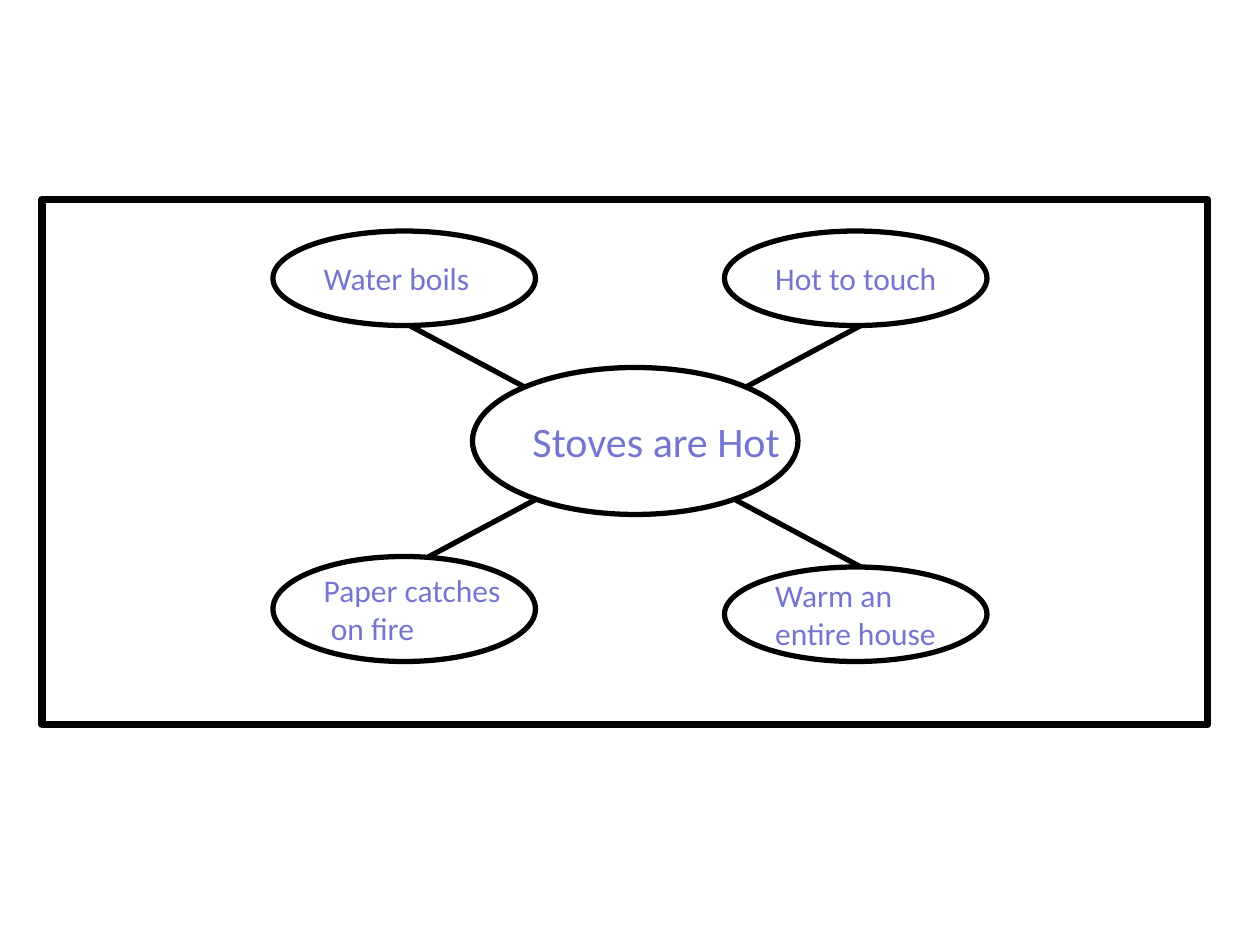
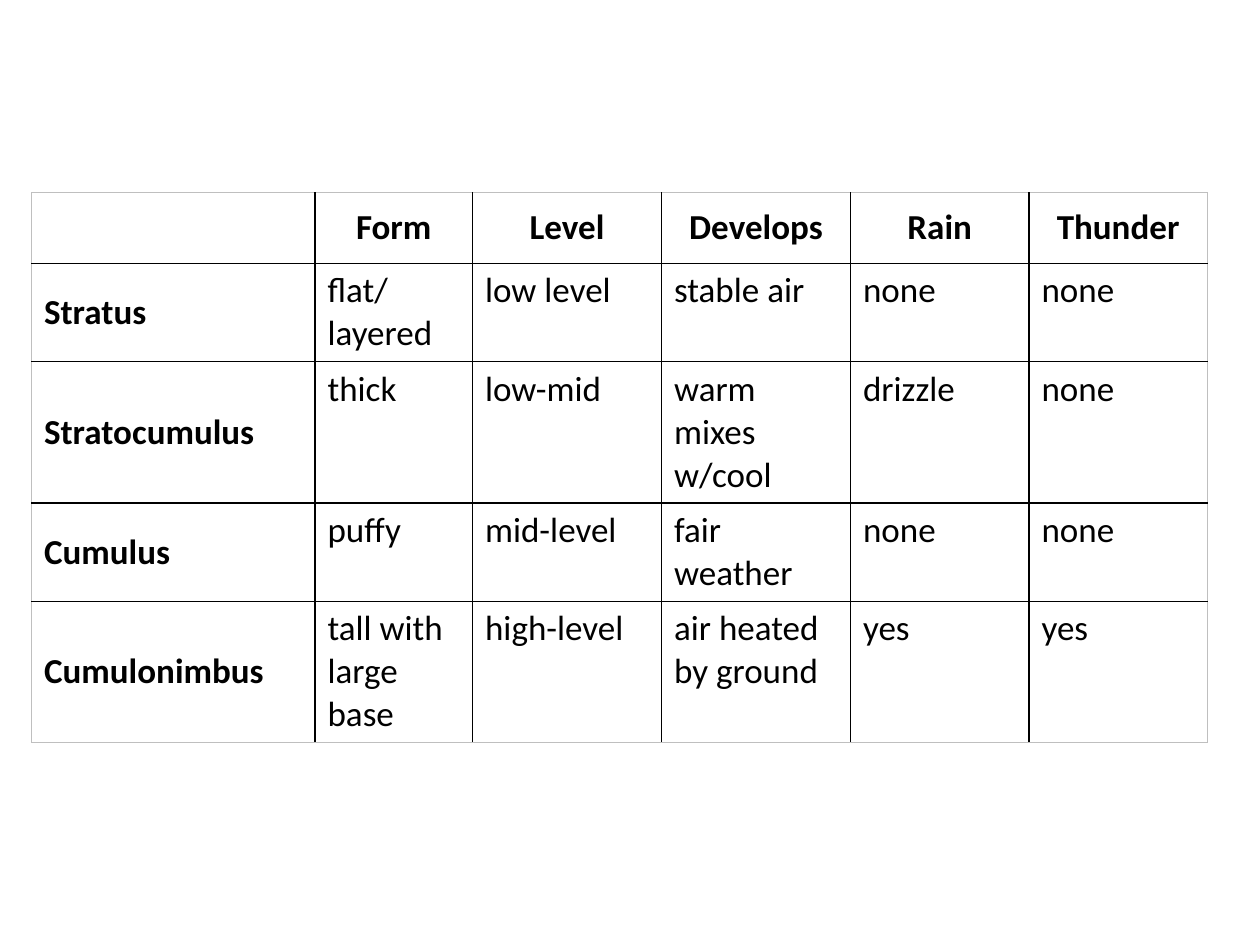
from lxml.etree import SubElement as Sub
from pptx import Presentation
from pptx.dml.color import RGBColor
from pptx.enum.shapes import MSO_CONNECTOR as Line, MSO_SHAPE as Shape
from pptx.enum.text import MSO_ANCHOR as Anchor, PP_ALIGN as Align
from pptx.oxml.ns import qn
from pptx.util import Inches, Pt

BLACK = RGBColor(0, 0, 0)
WHITE = RGBColor(255, 255, 255)
VIOLET = RGBColor(0x75, 0x75, 0xD1)
GREY = RGBColor(0xBF, 0xBF, 0xBF)
FONT = "Calibri"

# Places are counted in units of a twelfth of an inch.
FRAME = (4, 19, 111, 50)
LEFT, RIGHT, TOP, LOW = 39, 82, 31, 54
LINKS = [(LEFT, TOP, RIGHT, LOW), (LEFT, LOW, RIGHT, TOP)]
IDEAS = [  # text, size, place
    ("Stoves are Hot", 24, (45, 35, 31, 14)),
    ("Hot to touch", 18, (69, 22, 25, 9)),
    ("Paper catches\n on fire", 18, (26, 53, 25, 10)),
    ("Water boils", 18, (26, 22, 25, 9)),
    ("Warm an\nentire house", 18, (69, 54, 25, 9)),
]

CLOUDS = [
    ("", "Form", "Level", "Develops", "Rain", "Thunder"),
    ("Stratus", "flat/\nlayered", "low level", "stable air", "none", "none"),
    ("Stratocumulus", "thick", "low-mid", "warm mixes w/cool", "drizzle",
     "none"),
    ("Cumulus", "puffy", "mid-level", "fair weather", "none", "none"),
    ("Cumulonimbus", "tall with large base", "high-level",
     "air heated by ground", "yes", "yes"),
]
COLS = (27, 15, 18, 18, 17, 17)
HEAD, ROW = 0.56, 0.72  # row heights in inches
GRID_X, GRID_Y = 3, 1.53


def unit(n):
    return Inches(n / 12)


def units(place):
    return [unit(n) for n in place]


def write(frame, text, size, color=BLACK, bold=False, align=Align.LEFT):
    frame.text = text
    for para in frame.paragraphs:
        para.alignment = align
        font = para.font
        font.name, font.size, font.bold = FONT, Pt(size), bold
        font.color.rgb = color


def outline(line, width):
    line.color.rgb = BLACK
    line.width = Pt(width)


def draw(slide, kind, place, width):
    shape = slide.shapes.add_shape(kind, *units(place))
    shape.shadow.inherit = False
    shape.fill.solid()
    shape.fill.fore_color.rgb = WHITE
    outline(shape.line, width)
    return shape


def link(slide, ends):
    line = slide.shapes.add_connector(Line.STRAIGHT, *units(ends))
    outline(line.line, 3)
    Sub(line._element.spPr, qn("a:effectLst"))


def edge(cell, side, outer):
    """Rule one side of a cell: grey hairline outside, black inside."""
    width, color = (Pt(0.5), GREY) if outer else (Pt(1), BLACK)
    rule = Sub(cell._tc.get_or_add_tcPr(), qn("a:ln" + side), w=str(width))
    Sub(Sub(rule, qn("a:solidFill")), qn("a:srgbClr"), val=str(color))


def web(slide):
    draw(slide, Shape.RECTANGLE, FRAME, 4.5)
    for ends in LINKS:
        link(slide, ends)
    for text, size, place in IDEAS:
        frame = draw(slide, Shape.OVAL, place, 3).text_frame
        frame.word_wrap = False
        frame.vertical_anchor = Anchor.MIDDLE
        write(frame, text, size, color=VIOLET)


def chart(slide):
    rows, cols = len(CLOUDS), len(COLS)
    high = HEAD + ROW * (rows - 1)
    grid = slide.shapes.add_table(rows, cols, unit(GRID_X), Inches(GRID_Y),
                                  unit(sum(COLS)), Inches(high)).table
    grid.first_row = grid.horz_banding = False
    for col, wide in zip(grid.columns, COLS):
        col.width = unit(wide)
    for r, words in enumerate(CLOUDS):
        grid.rows[r].height = Inches(ROW if r else HEAD)
        for c, text in enumerate(words):
            cell = grid.cell(r, c)
            label = r == 0 or c == 0
            edges = {"L": c == 0, "R": c == cols - 1,
                     "T": r == 0, "B": r == rows - 1}
            for side, outer in edges.items():
                edge(cell, side, outer)
            cell.fill.solid()
            cell.fill.fore_color.rgb = WHITE
            cell.vertical_anchor = Anchor.MIDDLE if label else Anchor.TOP
            write(cell.text_frame, text, 20, bold=label,
                  align=Align.LEFT if r else Align.CENTER)


def main():
    deck = Presentation()
    deck.slide_width, deck.slide_height = Inches(10), Inches(7.5)
    for build in (web, chart):
        build(deck.slides.add_slide(deck.slide_layouts[6]))
    deck.save("out.pptx")


if __name__ == "__main__":
    main()
